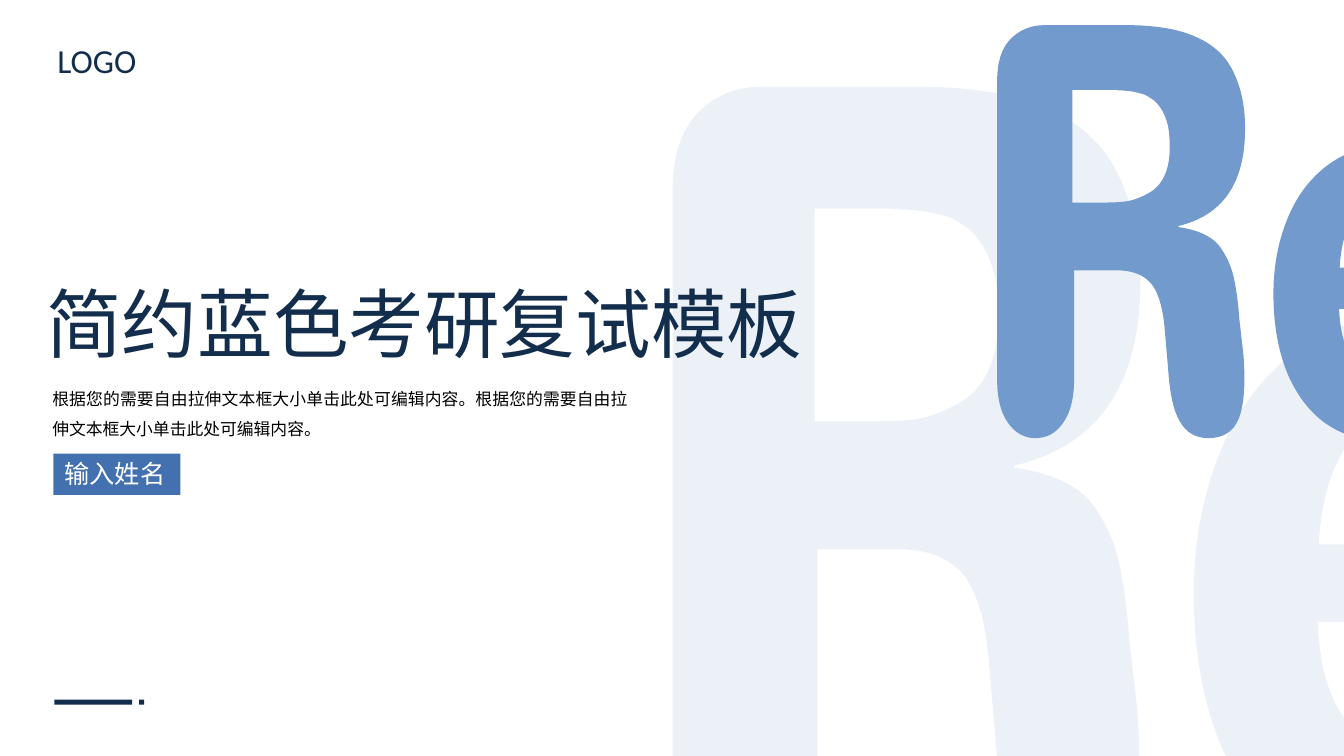
from dataclasses import dataclass

from lxml.etree import SubElement
from pptx import Presentation
from pptx.dml.color import RGBColor
from pptx.enum.shapes import MSO_SHAPE as Shape
from pptx.enum.text import MSO_AUTO_SIZE as Fit, PP_ALIGN as Align
from pptx.oxml.ns import qn
from pptx.util import Inches, Pt


@dataclass(frozen=True)
class Theme:
    font: str = "Calibri"
    navy: str = "132E4C"
    blue: str = "4371AF"
    sky: str = "729ACD"
    black: str = "000000"
    white: str = "FFFFFF"
    title: int = 54
    logo: int = 24
    name: int = 18
    body: int = 12


THEME = Theme()
ORIGIN = (6.67, 0.86)

# Each outline is a start point, then lines (x, y) and cubic curves (six numbers).
R_OUTER = [
    (7.55, 0.86), (9.12, 0.86),
    (9.37, 0.86, 9.6, 0.88, 9.79, 0.91), (9.99, 0.94, 10.19, 0.99, 10.39, 1.08),
    (10.58, 1.16, 10.75, 1.28, 10.88, 1.42), (11.01, 1.56, 11.11, 1.74, 11.19, 1.98),
    (11.27, 2.21, 11.31, 2.48, 11.31, 2.8), (11.31, 3.81, 10.9, 4.42, 10.06, 4.62),
    (10.06, 4.64),
    (10.27, 4.67, 10.44, 4.72, 10.57, 4.79), (10.71, 4.86, 10.82, 4.96, 10.9, 5.1),
    (10.99, 5.24, 11.06, 5.41, 11.1, 5.59), (11.14, 5.78, 11.18, 6.03, 11.2, 6.34),
    (11.28, 7.04),
    (11.32, 7.59, 11.29, 7.98, 11.19, 8.23), (11.09, 8.47, 10.9, 8.59, 10.62, 8.59),
    (10.39, 8.59, 10.21, 8.49, 10.09, 8.28), (9.97, 8.08, 9.9, 7.75, 9.87, 7.29),
    (9.81, 6.6),
    (9.78, 6.19, 9.7, 5.9, 9.57, 5.72), (9.43, 5.54, 9.21, 5.45, 8.91, 5.45),
    (8.11, 5.45), (8.11, 7.49),
    (8.11, 7.85, 8.04, 8.12, 7.9, 8.31), (7.77, 8.5, 7.6, 8.59, 7.38, 8.59),
    (7.18, 8.59, 7, 8.49, 6.87, 8.3), (6.73, 8.1, 6.67, 7.83, 6.67, 7.49),
    (6.67, 1.9),
    (6.67, 1.56, 6.75, 1.3, 6.92, 1.12), (7.09, 0.95, 7.3, 0.86, 7.55, 0.86),
]
R_INNER = [
    (8.08, 2.07), (8.08, 4.18), (8.72, 4.18),
    (8.88, 4.18, 9.02, 4.17, 9.14, 4.15), (9.27, 4.12, 9.39, 4.07, 9.51, 4),
    (9.64, 3.93, 9.73, 3.83, 9.8, 3.68), (9.87, 3.54, 9.9, 3.35, 9.9, 3.14),
    (9.9, 2.99, 9.89, 2.87, 9.87, 2.75), (9.84, 2.64, 9.81, 2.55, 9.77, 2.48),
    (9.73, 2.4, 9.68, 2.34, 9.62, 2.28), (9.55, 2.23, 9.49, 2.19, 9.43, 2.16),
    (9.37, 2.14, 9.29, 2.12, 9.19, 2.1), (9.1, 2.09, 9.02, 2.08, 8.95, 2.08),
    (8.88, 2.07, 8.79, 2.07, 8.68, 2.07),
]
E_OUTER = [
    (13.9, 3.14),
    (14.22, 3.14, 14.5, 3.21, 14.74, 3.35), (14.98, 3.49, 15.17, 3.68, 15.31, 3.92),
    (15.45, 4.16, 15.56, 4.44, 15.62, 4.74), (15.69, 5.04, 15.73, 5.37, 15.73, 5.73),
    (15.73, 6.03, 15.6, 6.17, 15.34, 6.17), (13.07, 6.17),
    (13.1, 7.03, 13.44, 7.47, 14.1, 7.47), (14.28, 7.47, 14.46, 7.42, 14.63, 7.32),
    (14.8, 7.23, 14.95, 7.11, 15.08, 6.96), (15.18, 6.87, 15.29, 6.87, 15.4, 6.94),
    (15.51, 7.01, 15.59, 7.15, 15.63, 7.35), (15.68, 7.55, 15.65, 7.71, 15.55, 7.84),
    (15.46, 7.95, 15.38, 8.04, 15.29, 8.12), (15.21, 8.19, 15.11, 8.28, 14.98, 8.37),
    (14.85, 8.46, 14.69, 8.53, 14.52, 8.58), (14.35, 8.63, 14.16, 8.65, 13.95, 8.65),
    (13.54, 8.65, 13.18, 8.55, 12.87, 8.35), (12.56, 8.15, 12.31, 7.84, 12.12, 7.42),
    (11.94, 7, 11.84, 6.49, 11.84, 5.89), (11.84, 5.37, 11.93, 4.91, 12.1, 4.49),
    (12.27, 4.07, 12.51, 3.75, 12.83, 3.5), (13.14, 3.26, 13.5, 3.14, 13.9, 3.14),
]
E_INNER = [
    (13.91, 4.12),
    (13.66, 4.12, 13.46, 4.24, 13.32, 4.48), (13.18, 4.71, 13.1, 5.02, 13.08, 5.4),
    (14.69, 5.4),
    (14.68, 4.99, 14.61, 4.67, 14.49, 4.45), (14.38, 4.23, 14.18, 4.12, 13.91, 4.12),
]
LETTERS = [(R_OUTER, R_INNER), (E_OUTER, E_INNER)]


def paint(shape, color, alpha=None):
    """Fill a shape without line or shadow; alpha is opacity in percent."""
    shape.shadow.inherit = False
    shape.line.fill.background()
    shape.fill.solid()
    shape.fill.fore_color.rgb = RGBColor.from_string(color)
    if alpha is not None:
        tint = shape.fill._xPr.find(qn("a:solidFill"))[0]
        SubElement(tint, qn("a:alpha")).set("val", str(alpha * 1000))


def bend(shape, letter):
    """Join each three lines that stand for a curve into one cubic curve."""
    lines = iter(list(shape._element.iter(qn("a:lnTo"))))
    for outline in letter:
        for part in outline[1:]:
            first = next(lines)
            if len(part) == 6:
                first.tag = qn("a:cubicBezTo")
                for _ in range(2):
                    line = next(lines)
                    first.append(line[0])
                    line.getparent().remove(line)


def add_letter(shapes, letter, left, top, scale):
    pen = None
    for outline in letter:
        points = [(Inches(left + (part[i] - ORIGIN[0]) * scale),
                   Inches(top + (part[i + 1] - ORIGIN[1]) * scale))
                  for part in outline for i in range(0, len(part), 2)]
        if pen is None:
            pen = shapes.build_freeform(*points[0], scale=1.0)
        else:
            pen.move_to(*points[0])
        pen.add_line_segments(points[1:], close=True)
    shape = pen.convert_to_shape()
    bend(shape, letter)
    return shape


def add_word(slide, left, top, scale, alpha=None):
    """Draw the letters as one group, the first one's corner at left, top."""
    group = slide.shapes.add_group_shape()
    for letter in LETTERS:
        shape = add_letter(group.shapes, letter, left, top, scale)
        paint(shape, THEME.sky, alpha)


def add_bar(shapes, left, top, width, height, color):
    box = map(Inches, (left, top, width, height))
    paint(shapes.add_shape(Shape.RECTANGLE, *box), color)


def add_text(shapes, text, left, top, width, height, *, size, color,
             align=None, spacing=None):
    box = shapes.add_textbox(*map(Inches, (left, top, width, height)))
    frame = box.text_frame
    frame.word_wrap = True
    frame.auto_size = Fit.SHAPE_TO_FIT_TEXT
    para = frame.paragraphs[0]
    para.alignment = align
    para.line_spacing = spacing
    run = para.add_run()
    run.text = text
    run.font.name = THEME.font
    run.font.size = Pt(size)
    run.font.color.rgb = RGBColor.from_string(color)


def main():
    deck = Presentation()
    deck.slide_width, deck.slide_height = Inches(13.33), Inches(7.5)
    slide = deck.slides.add_slide(deck.slide_layouts[6])
    shapes = slide.shapes

    add_word(slide, *ORIGIN, 1, alpha=13)
    add_word(slide, 9.89, 0.25, 0.53)

    add_text(shapes, "简约蓝色考研复试模板", 0.36, 2.7, 8.17, 1.01,
             size=THEME.title, color=THEME.navy)
    add_text(shapes, "根据您的需要自由拉伸文本框大小单击此处可编辑内容。"
             "根据您的需要自由拉伸文本框大小单击此处可编辑内容。",
             0.42, 3.71, 5.91, 0.67, size=THEME.body, color=THEME.black,
             align=Align.JUSTIFY, spacing=1.5)

    badge = shapes.add_group_shape().shapes
    add_bar(badge, 0.53, 4.5, 1.26, 0.41, THEME.blue)
    add_text(badge, "输入姓名", 0.54, 4.5, 1.32, 0.4,
             size=THEME.name, color=THEME.white)

    add_text(shapes, "LOGO", 0.47, 0.35, 1.46, 0.5,
             size=THEME.logo, color=THEME.navy)

    dash = shapes.add_group_shape().shapes
    for left, width in ((0.54, 0.77), (1.38, 0.05)):
        add_bar(dash, left, 6.94, width, 0.05, THEME.navy)
    deck.save("out.pptx")


if __name__ == "__main__":
    main()
